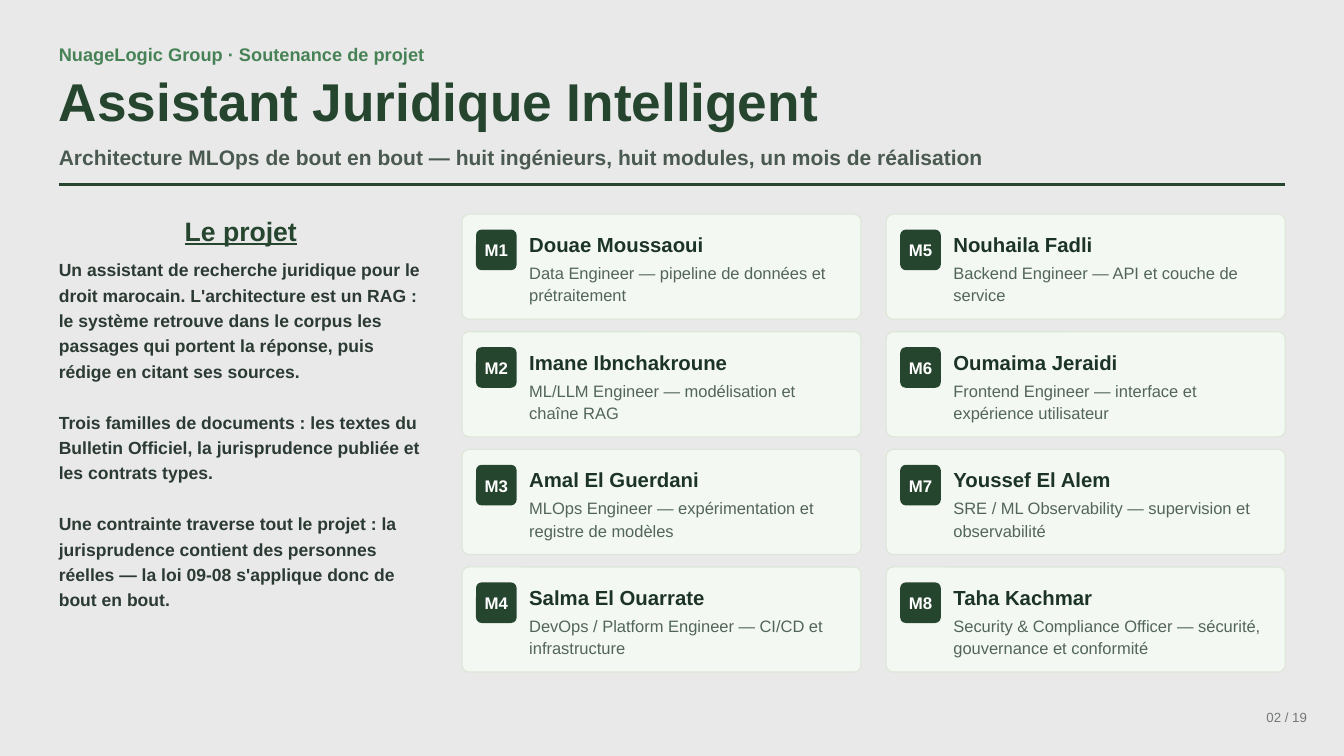
from pptx import Presentation
from pptx.dml.color import RGBColor
from pptx.enum.shapes import MSO_CONNECTOR, MSO_SHAPE
from pptx.enum.text import MSO_ANCHOR, MSO_AUTO_SIZE, PP_ALIGN
from pptx.oxml.ns import qn
from pptx.util import Emu, Pt
from lxml.etree import SubElement

EMU_PER_PX = 9525
GREEN = "25452E"
MARGIN = 84


def px(length):
    return Emu(length * EMU_PER_PX)


def color(hex_code):
    return RGBColor.from_string(hex_code)


class Deck:
    font = "Arial"

    def __init__(self, width, height, background):
        self.presentation = Presentation()
        self.presentation.slide_width = px(width)
        self.presentation.slide_height = px(height)
        self.slide = self.presentation.slides.add_slide(self.presentation.slide_layouts[1])
        self.slide.background.fill.solid()
        self.slide.background.fill.fore_color.rgb = color(background)

    def set_text(self, shape, content, size, ink, leading, bold=True, underline=None,
                 align=PP_ALIGN.LEFT, inset_top=0, gap=0):
        frame = shape.text_frame
        frame.text = content
        frame.word_wrap = True
        frame.auto_size = MSO_AUTO_SIZE.NONE
        frame.vertical_anchor = MSO_ANCHOR.TOP
        frame.margin_left = frame.margin_right = frame.margin_bottom = 0
        frame.margin_top = px(inset_top)
        for index, paragraph in enumerate(frame.paragraphs):
            paragraph.alignment = align
            paragraph.line_spacing = Pt(leading)
            paragraph.space_before = Pt(gap if index else 0)
            for run in paragraph.runs:
                run.font.name = self.font
                run.font.size = Pt(size)
                run.font.bold = bold
                run.font.underline = underline
                run.font.color.rgb = color(ink)

    def place(self, shape, left, top, width, height):
        shape.left, shape.top = px(left), px(top)
        shape.width, shape.height = px(width), px(height)

    def title(self, box, content, **style):
        heading = self.slide.shapes.title
        self.place(heading, *box)
        self.set_text(heading, content, **style)

    def body(self, box, paragraphs, **style):
        prose = self.slide.placeholders[1]
        self.place(prose, *box)
        self.set_text(prose, "\n".join(paragraphs), **style)
        for paragraph in prose.text_frame.paragraphs:
            properties = paragraph._p.get_or_add_pPr()
            properties.set("marL", "0")
            properties.set("indent", "0")
            SubElement(properties, qn("a:buNone"))

    def text(self, box, content, **style):
        label = self.slide.shapes.add_textbox(*map(px, box))
        self.set_text(label, content, **style)

    def rounded(self, box, radius, fill, line=None):
        panel = self.slide.shapes.add_shape(MSO_SHAPE.ROUNDED_RECTANGLE, *map(px, box))
        panel.adjustments[0] = radius / min(box[2:])
        panel.shadow.inherit = False
        panel.fill.solid()
        panel.fill.fore_color.rgb = color(fill)
        if line:
            panel.line.color.rgb = color(line)
            panel.line.width = Pt(1.13)
        else:
            panel.line.fill.background()
        return panel

    def rule(self, left, right, y, ink, weight):
        divider = self.slide.shapes.add_connector(
            MSO_CONNECTOR.STRAIGHT, px(left), px(y), px(right), px(y))
        divider.line.color.rgb = color(ink)
        divider.line.width = Pt(weight)
        SubElement(divider._element.spPr, qn("a:effectLst"))

    def member(self, left, top, code, name, role):
        self.rounded((left, top, 570, 150), 10, "F4F8F2", "DCE7D7")
        badge = self.rounded((left + 20, top + 22, 58, 58), 8, GREEN)
        self.set_text(badge, code, size=18, ink="FFFFFF", leading=25.2,
                      align=PP_ALIGN.CENTER, inset_top=8)
        self.text((left + 96, top + 20, 450, 40), name, size=21.8, ink="1C3327", leading=30.4)
        self.text((left + 96, top + 66, 455, 62), role, size=17.7, ink="52655B",
                  leading=24, bold=False)


PROJECT = [
    "Un assistant de recherche juridique pour le droit marocain. L'architecture est un RAG : "
    "le système retrouve dans le corpus les passages qui portent la réponse, puis rédige en "
    "citant ses sources.",
    "Trois familles de documents : les textes du Bulletin Officiel, la jurisprudence publiée "
    "et les contrats types.",
    "Une contrainte traverse tout le projet : la jurisprudence contient des personnes réelles "
    "— la loi 09-08 s'applique donc de bout en bout.",
]

TEAM = [
    ("Douae Moussaoui", "Data Engineer — pipeline de données et prétraitement"),
    ("Imane Ibnchakroune", "ML/LLM Engineer — modélisation et chaîne RAG"),
    ("Amal El Guerdani", "MLOps Engineer — expérimentation et registre de modèles"),
    ("Salma El Ouarrate", "DevOps / Platform Engineer — CI/CD et infrastructure"),
    ("Nouhaila Fadli", "Backend Engineer — API et couche de service"),
    ("Oumaima Jeraidi", "Frontend Engineer — interface et expérience utilisateur"),
    ("Youssef El Alem", "SRE / ML Observability — supervision et observabilité"),
    ("Taha Kachmar", "Security & Compliance Officer — sécurité, gouvernance et conformité"),
]


def main():
    deck = Deck(1920, 1080, "E9E9E9")
    deck.text((MARGIN, 56, 1400, 36), "NuageLogic Group · Soutenance de projet",
              size=19.5, ink="478256", leading=27.3)
    deck.title((MARGIN, 102, 1500, 91), "Assistant Juridique Intelligent",
               size=57, ink=GREEN, leading=65.5)
    deck.text((MARGIN, 200, 1600, 42),
              "Architecture MLOps de bout en bout — huit ingénieurs, huit modules, "
              "un mois de réalisation",
              size=22.5, ink="4A5A51", leading=31.5)
    deck.rule(MARGIN, 1920 - MARGIN, 264, GREEN, 3)

    deck.text((MARGIN, 299, 520, 53), "Le projet", size=28.5, ink=GREEN, leading=39.9,
              underline=True, align=PP_ALIGN.CENTER)
    deck.body((MARGIN, 364, 520, 506), PROJECT, size=18.8, ink="2B3A32",
              leading=27.2, gap=27.2)

    for index, (name, role) in enumerate(TEAM):
        column, row = divmod(index, 4)
        deck.member(660 + 606 * column, 306 + 168 * row, f"M{index + 1}", name, role)

    deck.text((1630, 1009, 237, 26), "02 / 19", size=14.2, ink="737875", leading=19.9,
              bold=False, align=PP_ALIGN.RIGHT)
    deck.presentation.save("out.pptx")


if __name__ == "__main__":
    main()
